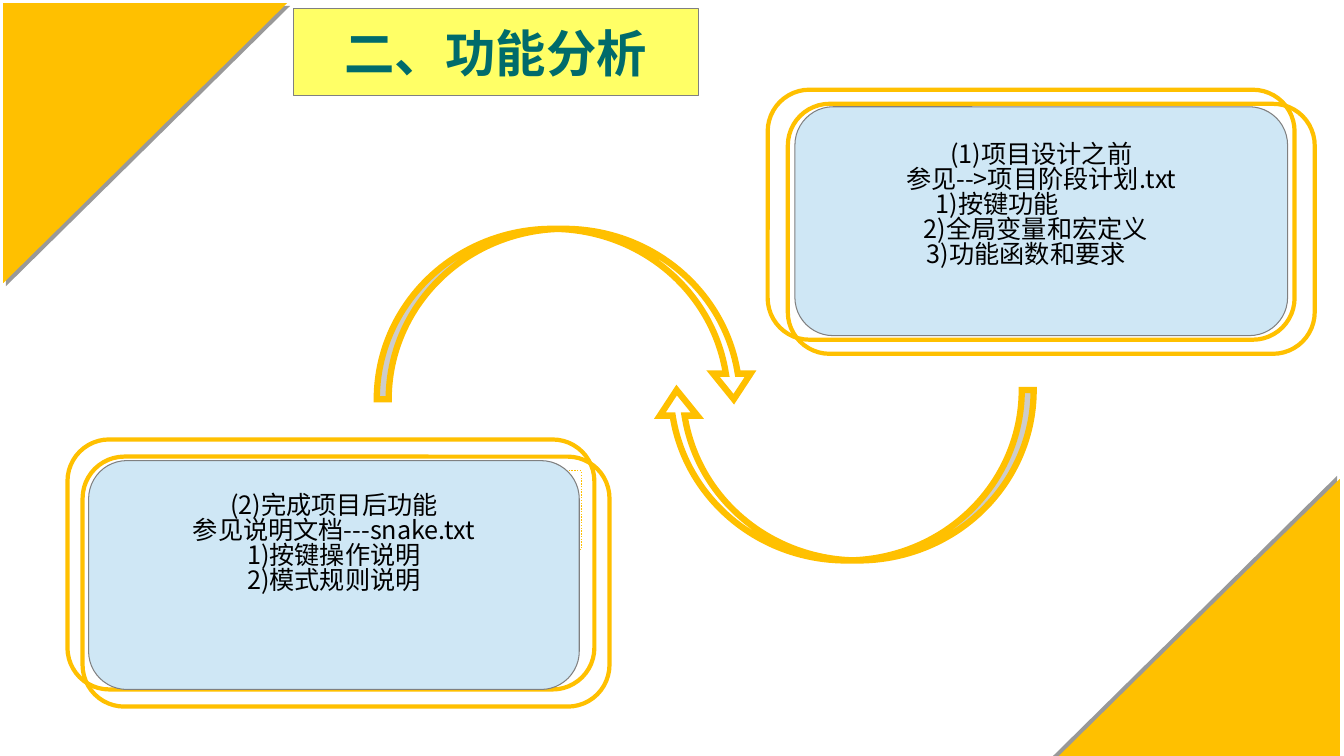
import pptx
import pptx.util
import pptx.dml.color
import pptx.enum.shapes
import pptx.enum.text
import pptx.oxml
import pptx.oxml.ns
import lxml.etree

PX = 9144
FONT = "Noto Sans CJK SC"
ORANGE = "FFC000"
GREY = "808080"
SHAPES = pptx.enum.shapes.MSO_SHAPE
ALIGN = pptx.enum.text.PP_ALIGN


def px(length):
    """Turn a length in px, 100 to the inch, into EMU."""
    return pptx.util.Emu(length * PX)


def color(value):
    """Turn a hex string into a colour."""
    return pptx.dml.color.RGBColor.from_string(value)


def add_element(parent, tag, **attributes):
    """Append a drawing element and return it."""
    element = lxml.etree.SubElement(parent, pptx.oxml.ns.qn(tag))
    for name, value in attributes.items():
        element.set(name, str(value))
    return element


def paint(shape, fill=None, line=None, width=1):
    """Set the fill and outline of a shape; None leaves either empty."""
    if fill:
        shape.fill.solid()
        shape.fill.fore_color.rgb = color(fill)
    else:
        shape.fill.background()
    if line:
        shape.line.color.rgb = color(line)
        shape.line.width = pptx.util.Pt(width)
    else:
        shape.line.fill.background()


def add_shape(slide, kind, box, adjustments=(), rotation=0, **look):
    """Add a painted preset shape without shadow."""
    shape = slide.shapes.add_shape(kind, *map(px, box))
    shape.shadow.inherit = False
    shape.rotation = rotation
    for index, value in enumerate(adjustments):
        shape.adjustments[index] = value
    paint(shape, **look)
    return shape


def write(paragraph, text, size=18, hue="000000", bold=False, indent=None, spacing=1.0):
    """Write text centred, or left aligned at an indent in px."""
    paragraph.alignment = ALIGN.CENTER if indent is None else ALIGN.LEFT
    paragraph.line_spacing = spacing
    if indent is not None:
        properties = paragraph._p.get_or_add_pPr()
        properties.set("marL", str(px(indent)))
        properties.set("indent", "0")
    run = paragraph.add_run()
    run.text = text
    run.font.size = pptx.util.Pt(size)
    run.font.bold = bold
    run.font.color.rgb = color(hue)
    run.font.name = FONT
    add_element(run._r.get_or_add_rPr(), "a:ea", typeface=FONT)


def set_frame(frame, bottom=5):
    """Centre the text vertically above the given bottom margin in px."""
    frame.word_wrap = True
    frame.vertical_anchor = pptx.enum.text.MSO_ANCHOR.MIDDLE
    frame.margin_left = frame.margin_right = px(10)
    frame.margin_top, frame.margin_bottom = px(5), px(bottom)


def add_title(slide, box, text):
    """Turn the title placeholder into a rounded yellow banner."""
    title = slide.shapes.title
    title.left, title.top, title.width, title.height = map(px, box)
    geometry = add_element(title._element.spPr, "a:prstGeom", prst="roundRect")
    add_element(geometry, "a:avLst")
    paint(title, fill="FFFF66", line=GREY, width=0.75)
    set_frame(title.text_frame)
    write(title.text_frame.paragraphs[0], text, size=36, hue="006B6B", bold=True)


def add_corner(slide, box, rotation, direction):
    """Add a corner triangle with a hard shadow in the given direction."""
    triangle = add_shape(slide, SHAPES.RIGHT_TRIANGLE, box, rotation=rotation, fill=ORANGE)
    effects = triangle._element.spPr.find(pptx.oxml.ns.qn("a:effectLst"))
    shadow = add_element(effects, "a:outerShdw", blurRad=0, dist=pptx.util.Pt(3),
                         dir=direction * 60000, algn="tl", rotWithShape=0)
    black = add_element(shadow, "a:srgbClr", val="000000")
    add_element(black, "a:alpha", val=40000)


def add_arrow(slide, box, rotation):
    """Add a thin curved arrow with sharp corners."""
    arrow = add_shape(slide, SHAPES.CURVED_DOWN_ARROW, box, (0.07, 0.22, 0.15), rotation,
                      fill="FFFFFF", line=ORANGE, width=4.5)
    add_element(arrow.line._get_or_add_ln(), "a:miter", lim=800000)


def add_dotted_corner(slide, box):
    """Add the dotted angle that peeks out beside the lower card."""
    left, top, width, height = box
    right, bottom = left + width, top + height
    builder = slide.shapes.build_freeform(right, bottom, scale=PX)
    builder.add_line_segments([(right - 16, bottom), (right - 16, top + 18),
                               (left, top + 18), (left, top), (right, top)])
    corner = builder.convert_to_shape()
    corner.shadow.inherit = False
    paint(corner, line=ORANGE)
    corner.line.dash_style = pptx.enum.dml.MSO_LINE.ROUND_DOT


def add_card(slide, box, frame_offsets, lines, blank_height):
    """Add a blue card of text with two orange frames around it."""
    left, top, width, height = box
    for across, down in frame_offsets:
        add_shape(slide, SHAPES.ROUNDED_RECTANGLE, (left + across, top + down, 523, 248),
                  (0.167,), line=ORANGE, width=3)
    card = add_shape(slide, SHAPES.ROUNDED_RECTANGLE, box, (0.167,),
                     fill="CFE7F5", line=GREY, width=0.75)
    frame = card.text_frame
    set_frame(frame, bottom=5 + blank_height)
    for index, (text, indent) in enumerate(lines):
        paragraph = frame.add_paragraph() if index else frame.paragraphs[0]
        write(paragraph, text, indent=indent, spacing=0.83)


def main():
    """Build the slide and save it."""
    presentation = pptx.Presentation()
    presentation.slide_width, presentation.slide_height = px(1334), px(750)
    slide = presentation.slides.add_slide(presentation.slide_layouts[5])
    add_title(slide, (291, 8, 402, 87), "二、功能分析")
    add_arrow(slide, (374, 227, 373, 169), 0)
    add_arrow(slide, (653, 387, 373, 169), 180)
    add_corner(slide, (5, 1, 278, 282), 90, 45)
    add_corner(slide, (1050, 473, 278, 282), 270, 225)
    add_dotted_corner(slide, (494, 467, 83, 78))
    add_card(slide, (789, 106, 489, 227), [(-27, -17), (-7, -3)], [
        ("(1)项目设计之前", None),
        ("参见-->项目阶段计划.txt", None),
        ("1)按键功能", 119),
        ("2)全局变量和宏定义", 107),
        ("3)功能函数和要求", 110),
    ], 30)
    add_card(slide, (88, 457, 487, 227), [(-21, -21), (-6, -4)], [
        ("(2)完成项目后功能", None),
        ("参见说明文档---snake.txt", None),
        ("1)按键操作说明", None),
        ("2)模式规则说明", None),
    ], 60)
    presentation.save("out.pptx")


if __name__ == "__main__":
    main()
